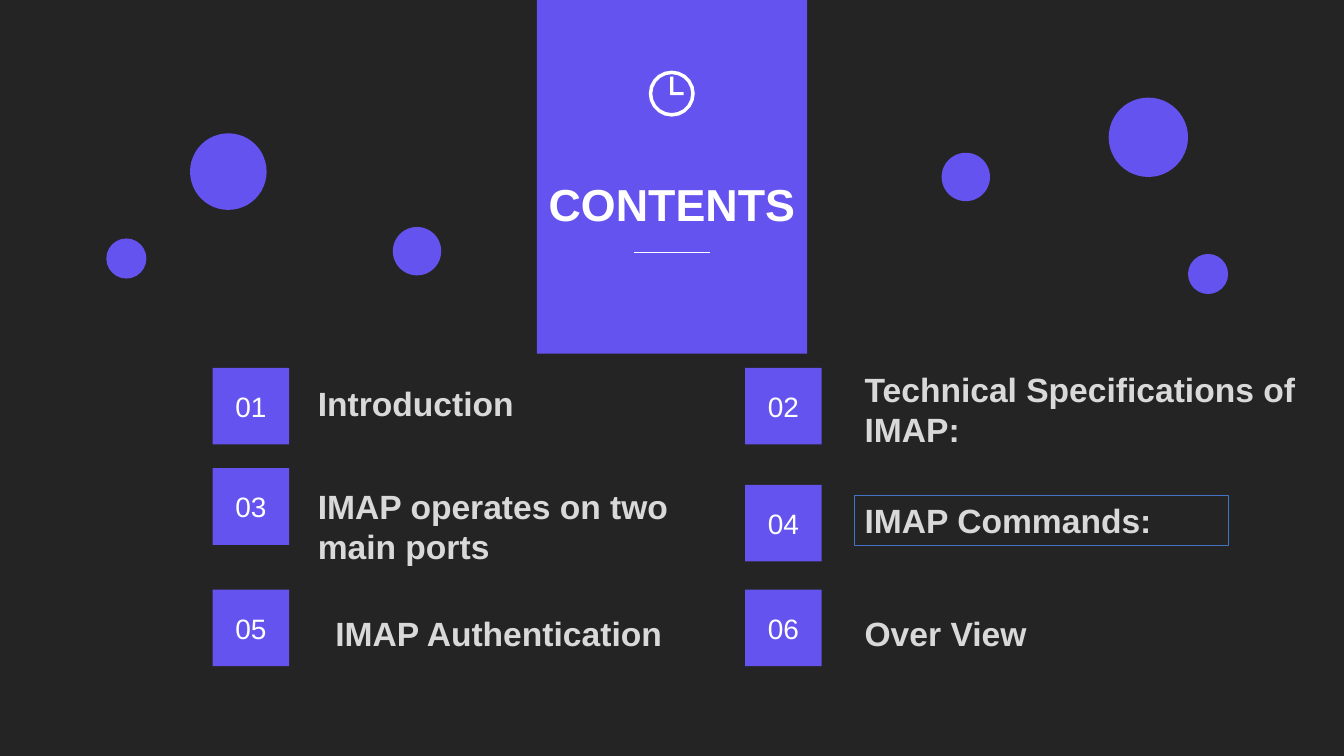
from math import cos, pi, sin
from typing import NamedTuple

from lxml.etree import SubElement
from pptx import Presentation
from pptx.dml.color import RGBColor
from pptx.enum.shapes import MSO_CONNECTOR, MSO_SHAPE
from pptx.enum.text import MSO_ANCHOR, MSO_AUTO_SIZE, PP_ALIGN
from pptx.oxml.ns import qn
from pptx.shapes.autoshape import Shape
from pptx.slide import Slide
from pptx.text.text import TextFrame
from pptx.util import Cm, Pt

DARK = RGBColor(0x24, 0x24, 0x24)
VIOLET = RGBColor(0x65, 0x53, 0xEF)
WHITE = RGBColor(0xFF, 0xFF, 0xFF)
LIGHT_GREY = RGBColor(0xD9, 0xD9, 0xD9)
BLUE = RGBColor(0x44, 0x72, 0xC4)
FONT = "Arial"

SLIDE_WIDTH, SLIDE_HEIGHT = 33.87, 19.05
BADGE_SIZE = 1.93
BADGE_COLUMNS = (5.36, 18.78)


class Bubble(NamedTuple):
    left: float
    top: float
    diameter: float


class Topic(NamedTuple):
    badge_top: float
    left: float
    top: float
    width: float
    height: float
    label: str
    outlined: bool = False


BUBBLES = (
    Bubble(23.73, 3.85, 1.22),
    Bubble(27.94, 2.46, 2.0),
    Bubble(9.9, 5.72, 1.22),
    Bubble(4.79, 3.36, 1.93),
    Bubble(2.68, 6.01, 1.01),
    Bubble(29.94, 6.4, 1.01),
)

TOPICS = (
    Topic(9.27, 7.76, 9.53, 9.42, 1.27, "Introduction"),
    Topic(9.27, 21.54, 9.16, 12.33, 3.33, "Technical Specifications of IMAP:"),
    Topic(11.8, 7.76, 12.12, 9.42, 2.31, "IMAP operates on two main ports"),
    Topic(12.22, 21.54, 12.48, 9.42, 1.27, "IMAP Commands:", outlined=True),
    Topic(14.86, 8.2, 15.32, 10.19, 2.31, "IMAP Authentication"),
    Topic(14.86, 21.54, 15.32, 8.99, 2.31, "Over View"),
)


def add_block(slide: Slide, preset: MSO_SHAPE, left: float, top: float,
              width: float, height: float, color: RGBColor) -> Shape:
    block = slide.shapes.add_shape(preset, Cm(left), Cm(top), Cm(width), Cm(height))
    block.shadow.inherit = False
    block.fill.solid()
    block.fill.fore_color.rgb = color
    block.line.fill.background()
    return block


def write(frame: TextFrame, text: str, size: int, color: RGBColor,
          bold: bool, align: PP_ALIGN, anchor: MSO_ANCHOR) -> None:
    frame.word_wrap = True
    frame.vertical_anchor = anchor
    paragraph = frame.paragraphs[0]
    paragraph.alignment = align
    run = paragraph.add_run()
    run.text = text
    run.font.name = FONT
    run.font.size = Pt(size)
    run.font.bold = bold
    run.font.color.rgb = color


def add_heading(slide: Slide) -> None:
    heading = slide.shapes.title
    # Bring the placeholder in front of the card
    heading.element.getparent().append(heading.element)
    heading.left, heading.top = Cm(13.16), Cm(4.32)
    heading.width, heading.height = Cm(7.55), Cm(1.62)
    write(heading.text_frame, "CONTENTS", 32, WHITE, True, PP_ALIGN.CENTER, MSO_ANCHOR.TOP)
    heading.text_frame.auto_size = MSO_AUTO_SIZE.SHAPE_TO_FIT_TEXT

    rule = slide.shapes.add_connector(
        MSO_CONNECTOR.STRAIGHT, Cm(15.98), Cm(6.37), Cm(17.89), Cm(6.37))
    rule.line.color.rgb = WHITE
    rule.line.width = Pt(0.5)
    SubElement(rule.element.spPr, qn("a:effectLst"))


def add_clock(slide: Slide) -> None:
    """Draw the rim and both hands as one outline."""
    center_x, center_y = 16.93, 2.36
    steps = 20
    rim = [
        [(center_x + radius * cos(2 * pi * step / steps),
          center_y + radius * sin(2 * pi * step / steps)) for step in range(steps)]
        for radius in (0.58, 0.49)
    ]
    hands = [(16.89, 1.93), (16.97, 1.93), (16.97, 2.32),
             (17.23, 2.32), (17.23, 2.4), (16.89, 2.4)]
    outlines = [[(Cm(x), Cm(y)) for x, y in outline] for outline in (*rim, hands)]

    builder = slide.shapes.build_freeform(*outlines[0][0])
    builder.add_line_segments(outlines[0][1:], close=True)
    for outline in outlines[1:]:
        builder.move_to(*outline[0])
        builder.add_line_segments(outline[1:], close=True)
    clock = builder.convert_to_shape()
    clock.shadow.inherit = False
    clock.fill.solid()
    clock.fill.fore_color.rgb = WHITE
    clock.line.fill.background()


def add_topic(slide: Slide, number: int, topic: Topic) -> None:
    badge = add_block(slide, MSO_SHAPE.RECTANGLE, BADGE_COLUMNS[(number - 1) % 2],
                      topic.badge_top, BADGE_SIZE, BADGE_SIZE, VIOLET)
    write(badge.text_frame, f"{number:02}", 20, WHITE, False,
          PP_ALIGN.CENTER, MSO_ANCHOR.MIDDLE)

    label = slide.shapes.add_textbox(
        Cm(topic.left), Cm(topic.top), Cm(topic.width), Cm(topic.height))
    write(label.text_frame, topic.label, 24, LIGHT_GREY, True,
          PP_ALIGN.LEFT, MSO_ANCHOR.TOP)
    label.text_frame.auto_size = MSO_AUTO_SIZE.SHAPE_TO_FIT_TEXT
    if topic.outlined:
        label.line.color.rgb = BLUE
        label.line.width = Pt(1)


def main() -> None:
    presentation = Presentation()
    presentation.slide_width = Cm(SLIDE_WIDTH)
    presentation.slide_height = Cm(SLIDE_HEIGHT)
    title_only = presentation.slide_layouts.get_by_name("Title Only")
    slide = presentation.slides.add_slide(title_only)

    add_block(slide, MSO_SHAPE.RECTANGLE, 0, 0, SLIDE_WIDTH, SLIDE_HEIGHT, DARK)
    add_block(slide, MSO_SHAPE.RECTANGLE, 13.53, 0, 6.81, 8.91, VIOLET)
    add_heading(slide)
    add_clock(slide)
    for bubble in BUBBLES:
        add_block(slide, MSO_SHAPE.OVAL, bubble.left, bubble.top,
                  bubble.diameter, bubble.diameter, VIOLET)
    for number, topic in enumerate(TOPICS, start=1):
        add_topic(slide, number, topic)

    presentation.save("out.pptx")


if __name__ == "__main__":
    main()
